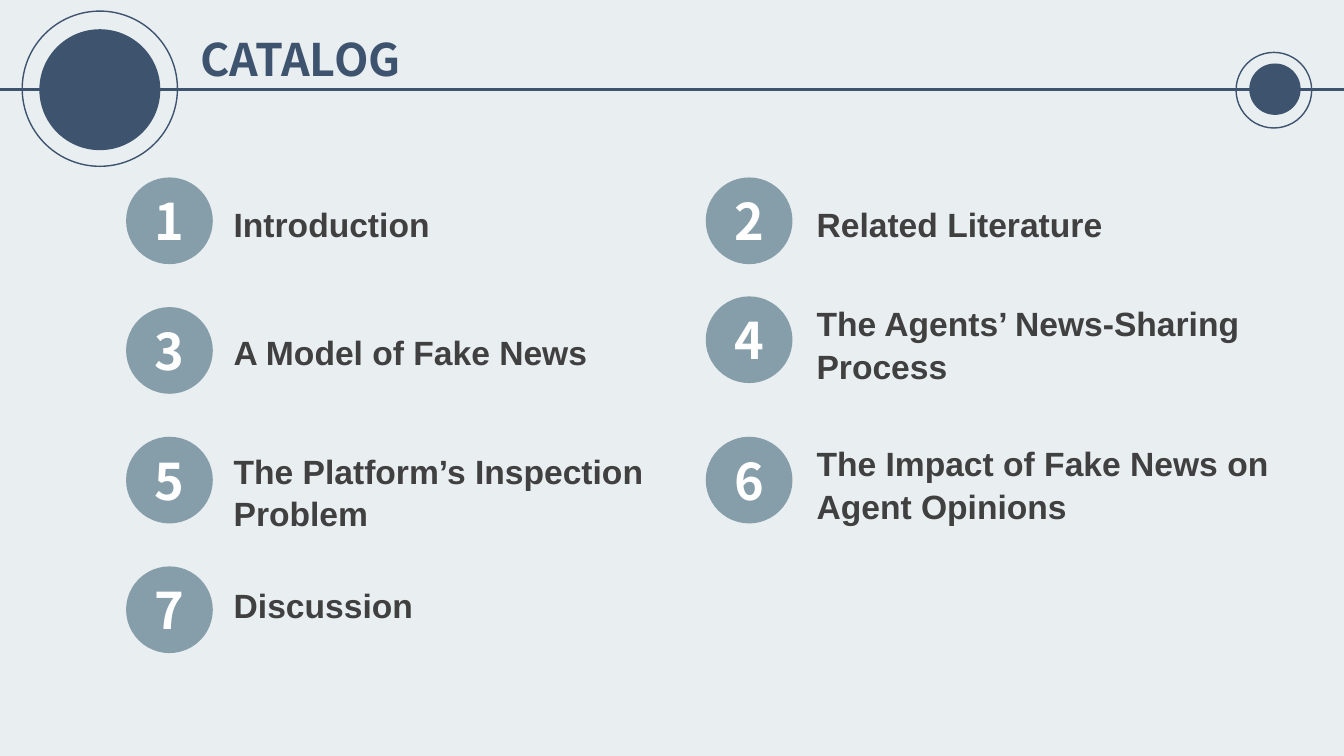
from dataclasses import dataclass

from lxml.etree import SubElement
from pptx import Presentation
from pptx.dml.color import RGBColor
from pptx.enum.shapes import MSO_CONNECTOR, MSO_SHAPE
from pptx.enum.text import MSO_ANCHOR, PP_ALIGN
from pptx.oxml.ns import qn
from pptx.shapes.autoshape import Shape
from pptx.slide import Slide
from pptx.text.text import TextFrame
from pptx.util import Inches, Pt

COLORS = {
    "background": "E9EEF1",
    "navy": "3E536E",
    "badge": "869EAA",
    "topic": "404040",
    "number": "FFFFFF",
}
HEADING_FONT = "Noto Sans CJK SC"
TOPIC_FONT = "Arial"
WIDTH, HEIGHT = Inches(13.33), Inches(7.5)

BADGE_COLUMNS = (9.38, 52.51)
TOPIC_COLUMNS = (16.65, 60.02)
FIRST_ROW, ROW_STEP = 23.47, 17.15
BADGE_SIZE = 11.47
RULE_ROW = 11.87


@dataclass(frozen=True)
class Chapter:
    topic: str
    topic_top: float
    topic_width: float
    topic_height: float
    badge_shift: float = 0


@dataclass(frozen=True)
class Ring:
    left: float
    top: float
    size: float
    filled: bool


CHAPTERS = (
    Chapter("Introduction", 26, 36.76, 6.67),
    Chapter("Related Literature", 26, 36.76, 6.67),
    Chapter("A Model of Fake News", 42.93, 36.76, 6.67),
    Chapter("The Agents’ News-Sharing Process", 39.2, 32.93, 13.33, -1.42),
    Chapter("The Platform’s Inspection Problem", 58.67, 36.76, 13.07),
    Chapter("The Impact of Fake News on Agent Opinions", 57.73, 37.58, 14.13),
    Chapter("Discussion", 76.4, 38.86, 13.33),
)
RINGS = (
    Ring(2.93, 3.87, 16, True),
    Ring(1.65, 1.47, 20.53, False),
    Ring(92.95, 8.4, 6.8, True),
    Ring(91.97, 6.93, 10, False),
)


def across(share: float) -> int:
    return round(WIDTH * share / 100)


def down(share: float) -> int:
    return round(HEIGHT * share / 100)


def color(name: str) -> RGBColor:
    return RGBColor.from_string(COLORS[name])


def write(frame: TextFrame, words: str, font: str, size: float, ink: str) -> None:
    run = frame.paragraphs[0].add_run()
    run.text = words
    run.font.name = font
    run.font.size = Pt(size)
    run.font.bold = True
    run.font.color.rgb = color(ink)


def add_words(slide: Slide, left: float, top: float, width: float,
              height: float) -> TextFrame:
    frame = slide.shapes.add_textbox(
        across(left), down(top), across(width), down(height)).text_frame
    frame.word_wrap = True
    return frame


def add_circle(slide: Slide, left: float, top: float, size: float) -> Shape:
    circle = slide.shapes.add_shape(
        MSO_SHAPE.OVAL, across(left), down(top), down(size), down(size))
    circle.shadow.inherit = False
    return circle


def fill_circle(circle: Shape, ink: str) -> None:
    circle.fill.solid()
    circle.fill.fore_color.rgb = color(ink)
    circle.line.fill.background()


def draw_title(slide: Slide) -> None:
    title = add_words(slide, 14.18, 3.6, 76.67, 9.87)
    write(title, "CATALOG", HEADING_FONT, 32, "navy")


def draw_rule(slide: Slide) -> None:
    rule = slide.shapes.add_connector(
        MSO_CONNECTOR.STRAIGHT, 0, down(RULE_ROW), WIDTH, down(RULE_ROW))
    rule.line.color.rgb = color("navy")
    rule.line.width = Pt(2)
    SubElement(rule._element.spPr, qn("a:effectLst"))


def draw_ring(slide: Slide, ring: Ring) -> None:
    circle = add_circle(slide, ring.left, ring.top, ring.size)
    if ring.filled:
        fill_circle(circle, "navy")
    else:
        circle.fill.background()
        circle.line.color.rgb = color("navy")
        circle.line.width = Pt(1)


def draw_chapter(slide: Slide, index: int, chapter: Chapter) -> None:
    row, column = divmod(index, 2)
    topic = add_words(slide, TOPIC_COLUMNS[column], chapter.topic_top,
                      chapter.topic_width, chapter.topic_height)
    topic.paragraphs[0].line_spacing = 1.05
    write(topic, chapter.topic, TOPIC_FONT, 24, "topic")

    badge_top = FIRST_ROW + row * ROW_STEP + chapter.badge_shift
    badge = add_circle(slide, BADGE_COLUMNS[column], badge_top, BADGE_SIZE)
    fill_circle(badge, "badge")
    badge.text_frame.vertical_anchor = MSO_ANCHOR.MIDDLE
    badge.text_frame.paragraphs[0].alignment = PP_ALIGN.CENTER
    write(badge.text_frame, str(index + 1), HEADING_FONT, 36, "number")


def main() -> None:
    deck = Presentation()
    deck.slide_width, deck.slide_height = WIDTH, HEIGHT
    slide = deck.slides.add_slide(deck.slide_layouts[6])
    slide.background.fill.solid()
    slide.background.fill.fore_color.rgb = color("background")

    draw_title(slide)
    draw_rule(slide)
    for ring in RINGS:
        draw_ring(slide, ring)
    for index, chapter in enumerate(CHAPTERS):
        draw_chapter(slide, index, chapter)
    deck.save("out.pptx")


if __name__ == "__main__":
    main()
